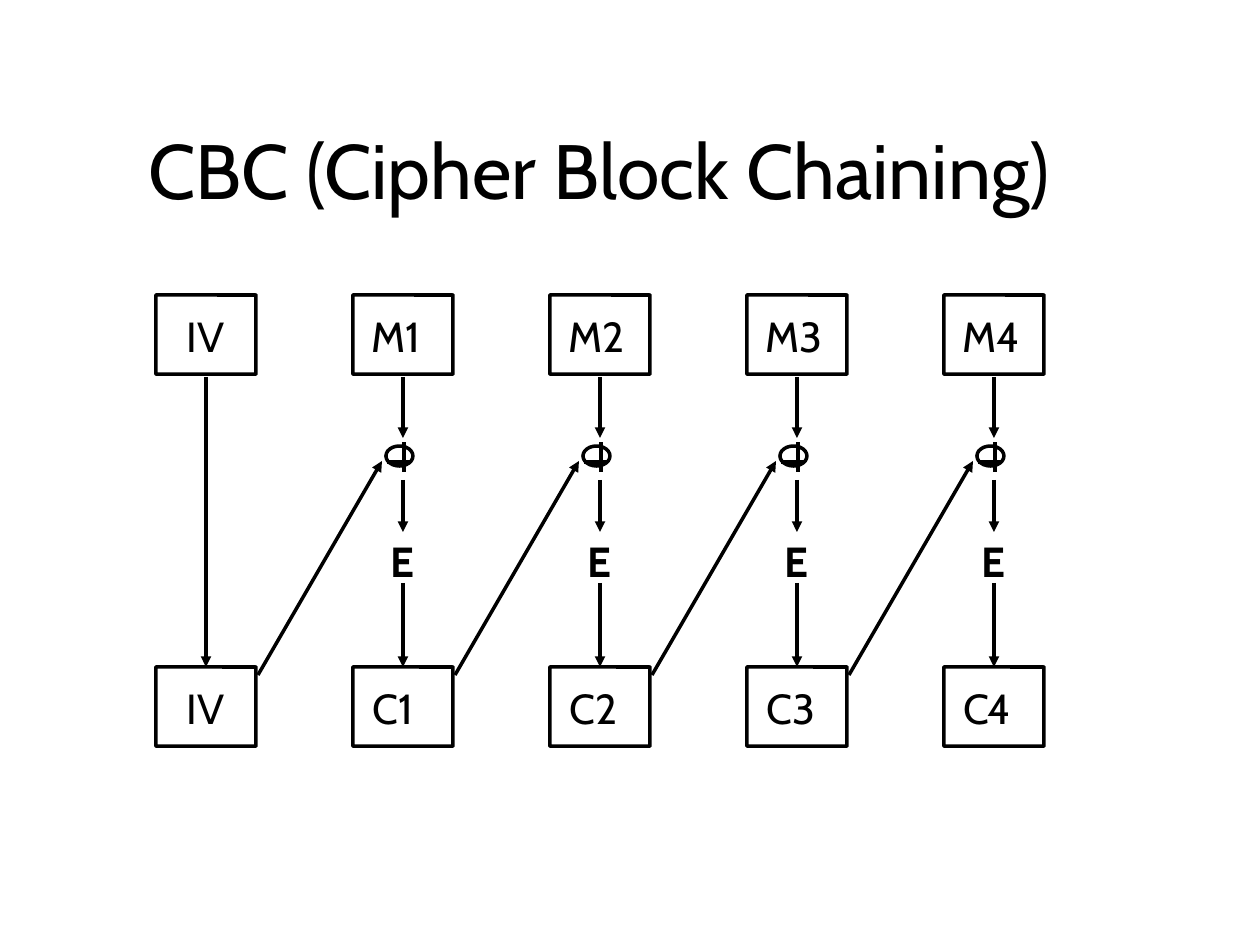
from lxml import etree
from pptx import Presentation
from pptx.dml.color import RGBColor
from pptx.enum.shapes import MSO_CONNECTOR, MSO_SHAPE
from pptx.enum.text import MSO_ANCHOR, MSO_AUTO_SIZE, PP_ALIGN
from pptx.oxml.ns import qn
from pptx.util import Emu, Pt

BLACK = RGBColor(0x00, 0x00, 0x00)
WHITE = RGBColor(0xFF, 0xFF, 0xFF)
FONT = "Cabin"
STRAIGHT = MSO_CONNECTOR.STRAIGHT
ROUND = MSO_SHAPE.ROUNDED_RECTANGLE
OVAL = MSO_SHAPE.OVAL
MIDDLE = MSO_ANCHOR.MIDDLE
GROW = MSO_AUTO_SIZE.SHAPE_TO_FIT_TEXT
CENTER = PP_ALIGN.CENTER

LEFT, PITCH = 156, 197
BOX_W, BOX_H = 100, 79
TOP_Y, LOW_Y = 295, 667
MID = BOX_W // 2
TEXT_H = 64


def px(n):
    return Emu(round(n * 914400 / 126))


def write(frame, text, size, bold=False):
    para = frame.paragraphs[0]
    para.line_spacing = 1.01
    run = para.add_run()
    run.text = text
    font = run.font
    font.name, font.size, font.bold = FONT, Pt(size), bold
    font.color.rgb = BLACK
    return para


def add_title(slide, text):
    title = slide.shapes.title
    title.left, title.top = px(39), px(69)
    title.width, title.height = px(1121), px(199)
    frame = title.text_frame
    frame.word_wrap = True
    frame.vertical_anchor = MIDDLE
    write(frame, text, 44).alignment = CENTER


def add_label(shapes, text, x, y, w, bold=False):
    box = shapes.add_textbox(px(x), px(y), px(w), px(TEXT_H))
    frame = box.text_frame
    frame.word_wrap = False
    frame.auto_size = GROW
    write(frame, text, 24, bold)


def add_outline(shapes, kind, x, y, w, h):
    shape = shapes.add_shape(kind, px(x), px(y), px(w), px(h))
    shape.shadow.inherit = False
    shape.fill.background()
    shape.line.color.rgb = BLACK
    shape.line.width = Pt(2)
    return shape


def add_block(shapes, text, x, y, inset, w):
    block = add_outline(shapes, ROUND, x, y, BOX_W, BOX_H)
    block.adjustments[0] = 0.003
    block.fill.solid()
    block.fill.fore_color.rgb = WHITE
    add_label(shapes, text, x + inset, y + 9, w)


def add_line(shapes, x1, y1, x2, y2, arrow=False):
    line = shapes.add_connector(STRAIGHT, px(x1), px(y1), px(x2), px(y2))
    line.line.color.rgb = BLACK
    line.line.width = Pt(2)
    if arrow:
        stroke = line.line._get_or_add_ln()
        etree.SubElement(stroke, qn("a:tailEnd"), type="triangle")
    etree.SubElement(line._element.spPr, qn("a:effectLst"))


def add_xor(shapes, x):
    group = shapes.add_group_shape().shapes
    add_line(group, x + 34, 462, x + 58, 462)
    add_line(group, x + 51, 472, x + 51, 442)
    add_outline(group, OVAL, x + 33, 446, 27, 20)


def add_stage(shapes, num, x):
    add_block(shapes, f"M{num}", x, TOP_Y, 6, 88)
    add_block(shapes, f"C{num}", x, LOW_Y, 7, 76)
    add_xor(shapes, x)
    add_label(shapes, "E", x + 25, 529, 49, True)
    for start, end in ((377, 438), (480, 532), (583, LOW_Y)):
        add_line(shapes, x + MID, start, x + MID, end, True)
    add_line(shapes, x - PITCH + 102, 675, x + 29, 461, True)


def main():
    deck = Presentation()
    deck.slide_width, deck.slide_height = px(1260), px(945)
    slide = deck.slides.add_slide(deck.slide_layouts[5])
    shapes = slide.shapes
    add_title(slide, "CBC (Cipher Block Chaining)")
    for y in (TOP_Y, LOW_Y):
        add_block(shapes, "IV", LEFT, y, 18, 66)
    add_line(shapes, LEFT + MID, 377, LEFT + MID, LOW_Y, True)
    for num in range(1, 5):
        add_stage(shapes, num, LEFT + num * PITCH)
    deck.save("out.pptx")


if __name__ == "__main__":
    main()
